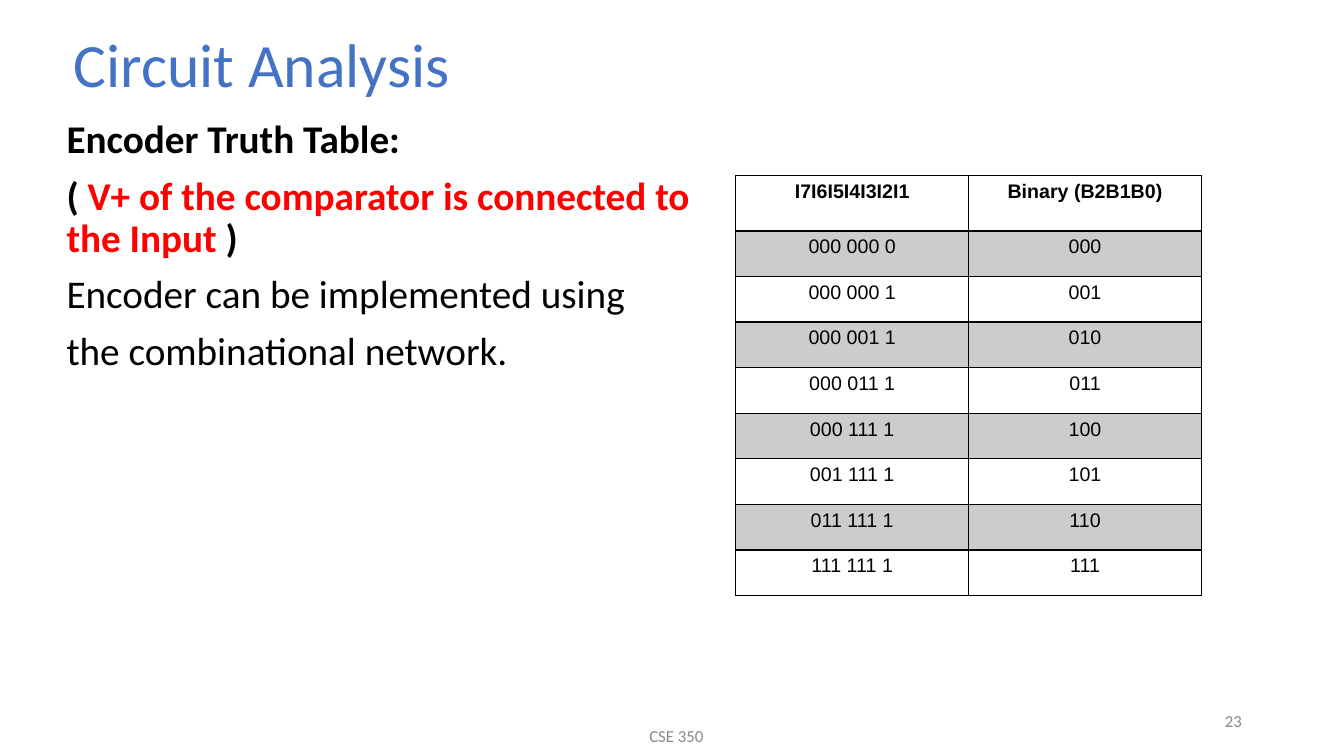
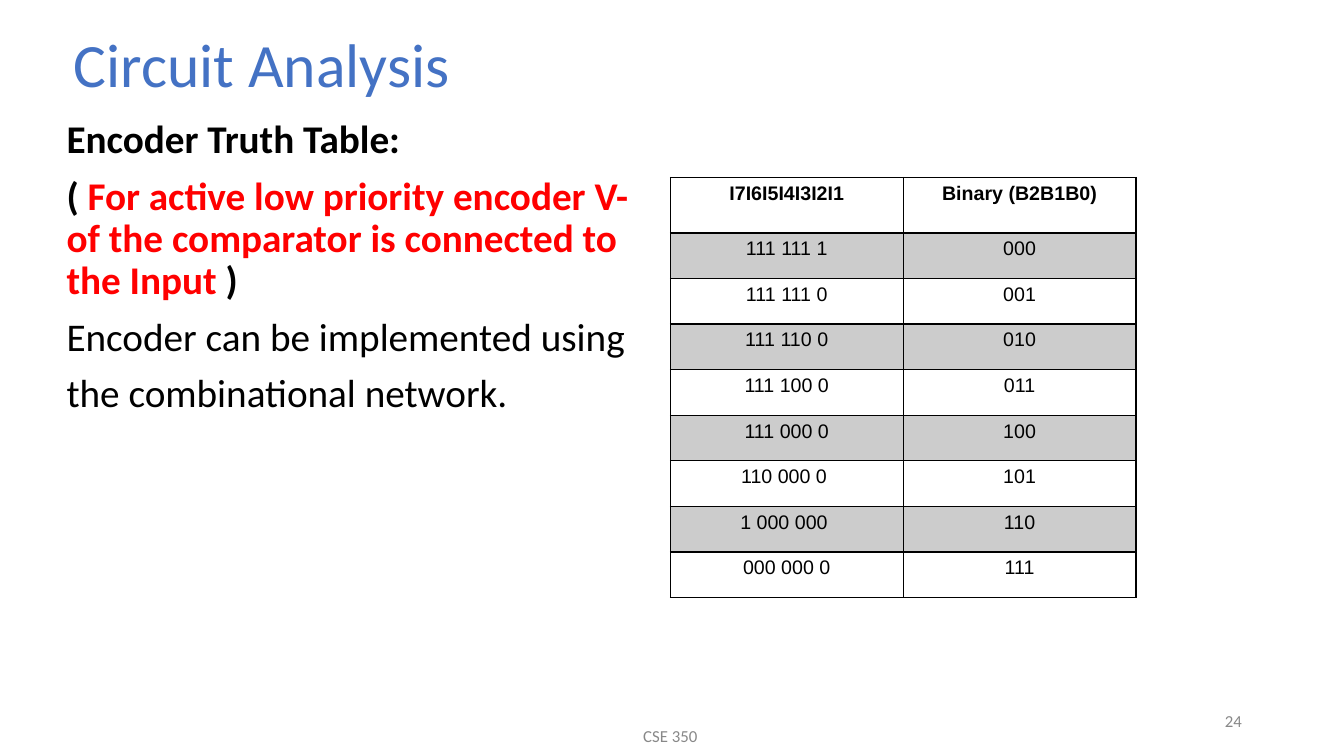
from lxml.etree import SubElement as sub
from pptx import Presentation
from pptx.dml.color import RGBColor as RGB
from pptx.enum.text import MSO_ANCHOR as ANCHOR, MSO_AUTO_SIZE as FIT, PP_ALIGN as ALIGN
from pptx.oxml.ns import qn
from pptx.util import Inches, Pt

BLUE = RGB(0x44, 0x72, 0xC4)
RED = RGB(0xFF, 0, 0)
BLACK = RGB(0, 0, 0)
GREY = RGB(0x88, 0x88, 0x88)
BAND = RGB(0xCC, 0xCC, 0xCC)

deck = Presentation()
deck.slide_width, deck.slide_height = Inches(13.33), Inches(7.5)
COL = deck.slide_width / 100
ROW = deck.slide_height / 75

HEAD = ("I7I6I5I4I3I2I1", "Binary (B2B1B0)")
WIDE, TALL, TOP = 34.65, 41.7, 5.5  # table width, table height, header height

# number, note, body size, footer column, table place, input codes
PAGES = [
    ("23", "V+ of the comparator is connected to the Input ",
     (53.03, 55.8), 33.45, (54.75, 17.4),
     ["000 000 0", "000 000 1", "000 001 1", "000 011 1",
      "000 111 1", "001 111 1", "011 111 1", "111 111 1"]),
    ("24", "For active low priority encoder V- of the comparator is connected to the Input ",
     (44.92, 54.7), 33, (49.88, 17.6),
     ["111 111 1", "111 111 0", "111 110 0", "111 100 0",
      "111 000 0", "110 000 0 ", "1 000 000 ", "000 000 0"]),
]


def grid(x, y, w, h):
    """Turn columns and rows into left, top, width and height."""
    return int(x * COL), int(y * ROW), int(w * COL), int(h * ROW)


def style(para, size, color, bold=False, face="Calibri", align=ALIGN.LEFT):
    para.alignment = align
    font = para.font
    font.name, font.size, font.bold = face, Pt(size), bold
    font.color.rgb = color


for num, note, size, foot, place, codes in PAGES:
    slide = deck.slides.add_slide(deck.slide_layouts[1])

    title, body = slide.placeholders
    title.left, title.top, title.width, title.height = grid(4.73, 2.9, 86.25, 7.6)
    title.text_frame.text = "Circuit Analysis"
    title.text_frame.vertical_anchor = ANCHOR.MIDDLE
    title.text_frame.auto_size = FIT.NONE
    para = title.text_frame.paragraphs[0]
    para.line_spacing = 0.9
    style(para, 44, BLUE)

    for text, x, y, w, align in [("CSE 350", foot, 71, 33.75, ALIGN.CENTER),
                                 (num, 70.65, 69.5, 22.5, ALIGN.RIGHT)]:
        frame = slide.shapes.add_textbox(*grid(x, y, w, 4)).text_frame
        frame.word_wrap = True
        frame.vertical_anchor = ANCHOR.MIDDLE
        frame.text = text
        style(frame.paragraphs[0], 12, GREY, align=align)

    body.left, body.top, body.width, body.height = grid(3.3, 11.4, *size)
    frame = body.text_frame
    frame.auto_size = FIT.NONE
    lines = [(["Encoder Truth Table:"], True),
             (["( ", note, ")"], True),
             (["Encoder can be implemented using"], False),
             (["the combinational network."], False)]
    for i, (parts, bold) in enumerate(lines):
        para = frame.add_paragraph() if i else frame.paragraphs[0]
        props = para._p.get_or_add_pPr()
        props.set("marL", str(Inches(0.12)))
        props.set("indent", "0")
        sub(props, qn("a:buNone"))
        para.line_spacing = 0.9
        para.space_before = Pt(10 if i else 0)
        style(para, 28, BLACK, bold)
        for part in parts:
            run = para.add_run()
            run.text = part
            if part == note:
                run.font.color.rgb = RED

    rows = [HEAD] + [(code, f"{i:03b}") for i, code in enumerate(codes)]
    table = slide.shapes.add_table(len(rows), 2, *grid(*place, WIDE, TALL)).table
    table.first_row = table.horz_banding = False
    for r, row in enumerate(rows):
        high = (TALL - TOP) / len(codes) if r else TOP
        table.rows[r].height = int(high * ROW)
        for c, text in enumerate(row):
            cell = table.cell(r, c)
            cell.text = text
            style(cell.text_frame.paragraphs[0], 14, BLACK, r == 0, "Arial", ALIGN.CENTER)
            props = cell._tc.get_or_add_tcPr()
            for side in "LRTB":
                thick = (r, side) in [(0, "B"), (1, "T")]
                line = sub(props, qn(f"a:ln{side}"), w=str(Pt(2 if thick else 1)))
                sub(sub(line, qn("a:solidFill")), qn("a:srgbClr"), val=str(BLACK))
            if r % 2:
                cell.fill.solid()
                cell.fill.fore_color.rgb = BAND
            else:
                cell.fill.background()

deck.save("out.pptx")
